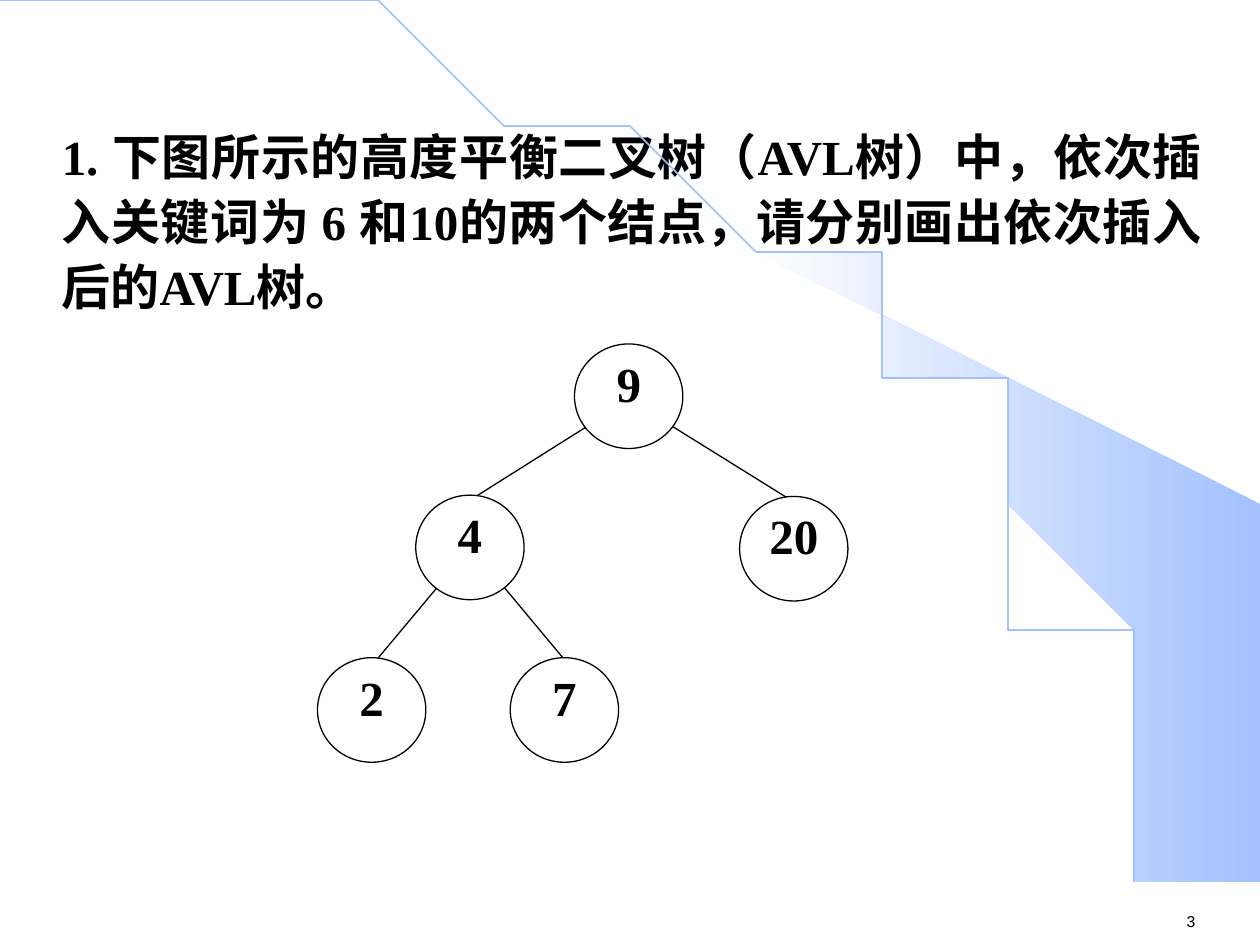
from math import cos, pi, sin

from lxml.etree import SubElement
from pptx import Presentation
from pptx.dml.color import RGBColor
from pptx.enum.shapes import MSO_CONNECTOR as Connector, MSO_SHAPE as Shape
from pptx.enum.text import MSO_ANCHOR as Anchor, MSO_AUTO_SIZE as AutoSize, PP_ALIGN as Align
from pptx.oxml.ns import qn
from pptx.util import Inches, Pt

BLACK, WHITE, BLUE, PALE = "000000", "FFFFFF", "A2C1FE", "FEFEFE"
SERIF = "Times New Roman"
NODE_WIDTH, NODE_HEIGHT = 0.86, 0.83
LABEL_WIDTH, LABEL_HEIGHT, LABEL_DROP = 0.4, 0.45, 0.18

# Key: left and top of the node
NODES = {
    "9": (4.56, 2.73),
    "20": (5.87, 3.94),
    "7": (4.05, 5.22),
    "4": (3.3, 3.93),
    "2": (2.52, 5.22),
}
EDGES = [
    ((4.65, 3.39), (3.73, 3.97)),
    ((5.33, 3.38), (6.31, 3.99)),
    ((3.48, 4.65), (2.97, 5.26)),
    ((4, 4.66), (4.5, 5.26)),
]
BEAM = [
    (9.2, 7.48), (9.99, 7.49), (9.99, 4.23), (5.89, 1.73), (6.24, 1.99),
    (6.53, 2.22), (6.85, 2.5), (7.16, 2.8), (7.62, 3.3), (8.03, 3.84),
    (8.32, 4.31), (8.58, 4.79), (8.78, 5.28), (8.93, 5.72), (9.03, 6.09),
    (9.13, 6.56), (9.17, 6.96),
]
QUESTION = ("1. 下图所示的高度平衡二叉树（AVL树）中，依次插入关键词为 6 和10的两个结点，"
            "请分别画出依次插入后的AVL树。")


def color(hex_value):
    return RGBColor.from_string(hex_value)


def set_line(shape, hex_value, width):
    shape.line.color.rgb = color(hex_value)
    shape.line.width = Pt(width)


def add_run(paragraph, text, size, font=SERIF, bold=True):
    run = paragraph.add_run()
    run.text = text
    run.font.name = font
    run.font.size = Pt(size)
    run.font.bold = bold
    run.font.color.rgb = color(BLACK)


def add_outline(slide, points, close):
    builder = slide.shapes.build_freeform(*points[0], scale=Inches(1))
    builder.add_line_segments(points[1:], close=close)
    shape = builder.convert_to_shape()
    shape.shadow.inherit = False
    return shape


def add_backdrop(slide):
    # Gradient beam
    beam = add_outline(slide, BEAM, True)
    beam.fill.gradient()
    beam.fill.gradient_angle = 180
    for stop, position, shade in zip(beam.fill.gradient_stops, (0, 1), (BLUE, PALE)):
        stop.position = position
        stop.color.rgb = color(shade)
    beam.line.fill.background()

    # Quarter ellipse across the slide
    steps = 60
    angles = [pi / 2 * step / steps for step in range(steps + 1)]
    arc = add_outline(slide, [(9.2 * sin(a), 7.49 * (1 - cos(a))) for a in angles], False)
    arc.fill.background()
    set_line(arc, BLUE, 1)


def add_question(slide):
    slide.shapes.title.element.getparent().remove(slide.shapes.title.element)
    body = slide.placeholders[1]
    body.left, body.top = Inches(0.39), Inches(0.91)
    body.width, body.height = Inches(9.25), Inches(1.69)
    frame = body.text_frame
    frame.auto_size = AutoSize.NONE
    frame.vertical_anchor = Anchor.TOP
    paragraph = frame.paragraphs[0]
    properties = paragraph._p.get_or_add_pPr()
    properties.set("marL", "0")
    properties.set("indent", "0")
    SubElement(properties, qn("a:buNone"))
    paragraph.alignment = Align.JUSTIFY
    paragraph.line_spacing = 1.1
    paragraph.space_before = Pt(0)
    add_run(paragraph, QUESTION, 28)


def add_edge(slide, start, end):
    edge = slide.shapes.add_connector(Connector.STRAIGHT, *map(Inches, start + end))
    set_line(edge, BLACK, 0.75)
    SubElement(edge._element.spPr, qn("a:effectLst"))


def add_node(slide, key, left, top):
    node = slide.shapes.add_shape(Shape.OVAL, Inches(left), Inches(top),
                                  Inches(NODE_WIDTH), Inches(NODE_HEIGHT))
    node.shadow.inherit = False
    node.fill.solid()
    node.fill.fore_color.rgb = color(WHITE)
    set_line(node, BLACK, 0.75)

    label = slide.shapes.add_textbox(Inches(left + (NODE_WIDTH - LABEL_WIDTH) / 2),
                                     Inches(top + LABEL_DROP),
                                     Inches(LABEL_WIDTH), Inches(LABEL_HEIGHT))
    frame = label.text_frame
    frame.margin_left = frame.margin_right = frame.margin_top = frame.margin_bottom = 0
    frame.word_wrap = True
    paragraph = frame.paragraphs[0]
    paragraph.alignment = Align.CENTER
    paragraph.line_spacing = 0.76
    add_run(paragraph, key, 28)


def add_page_number(slide):
    box = slide.shapes.add_textbox(Inches(9.32), Inches(7.19), Inches(0.77), Inches(0.25))
    box.text_frame.word_wrap = True
    add_run(box.text_frame.paragraphs[0], "3", 9, "Arial", False)


def main():
    presentation = Presentation()
    presentation.slide_width, presentation.slide_height = Inches(10), Inches(7.5)
    slide = presentation.slides.add_slide(presentation.slide_layouts[1])
    add_backdrop(slide)
    add_page_number(slide)
    add_question(slide)
    # Tree: edges lie behind the nodes
    for start, end in EDGES:
        add_edge(slide, start, end)
    for key, (left, top) in NODES.items():
        add_node(slide, key, left, top)
    presentation.save("out.pptx")


if __name__ == "__main__":
    main()
